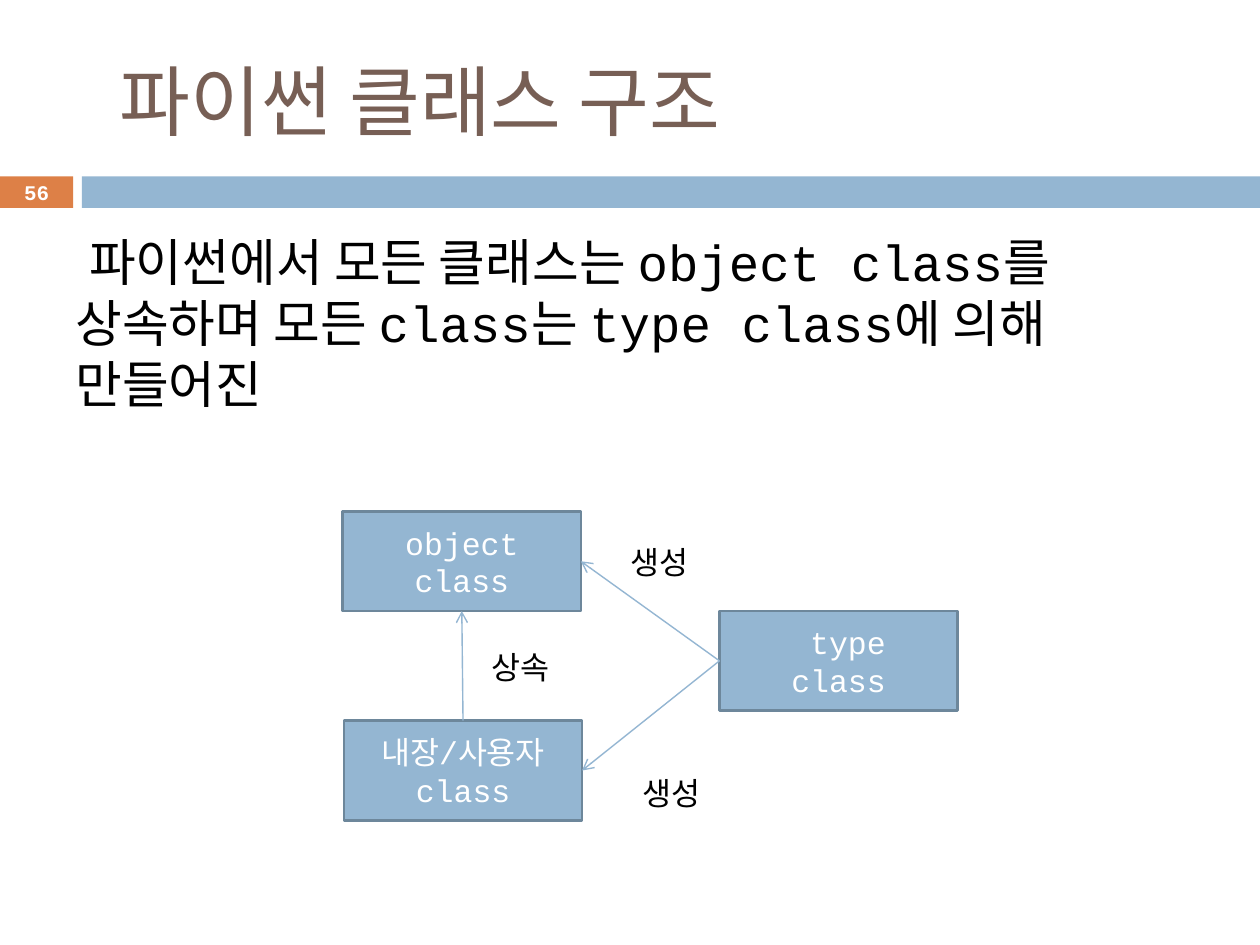
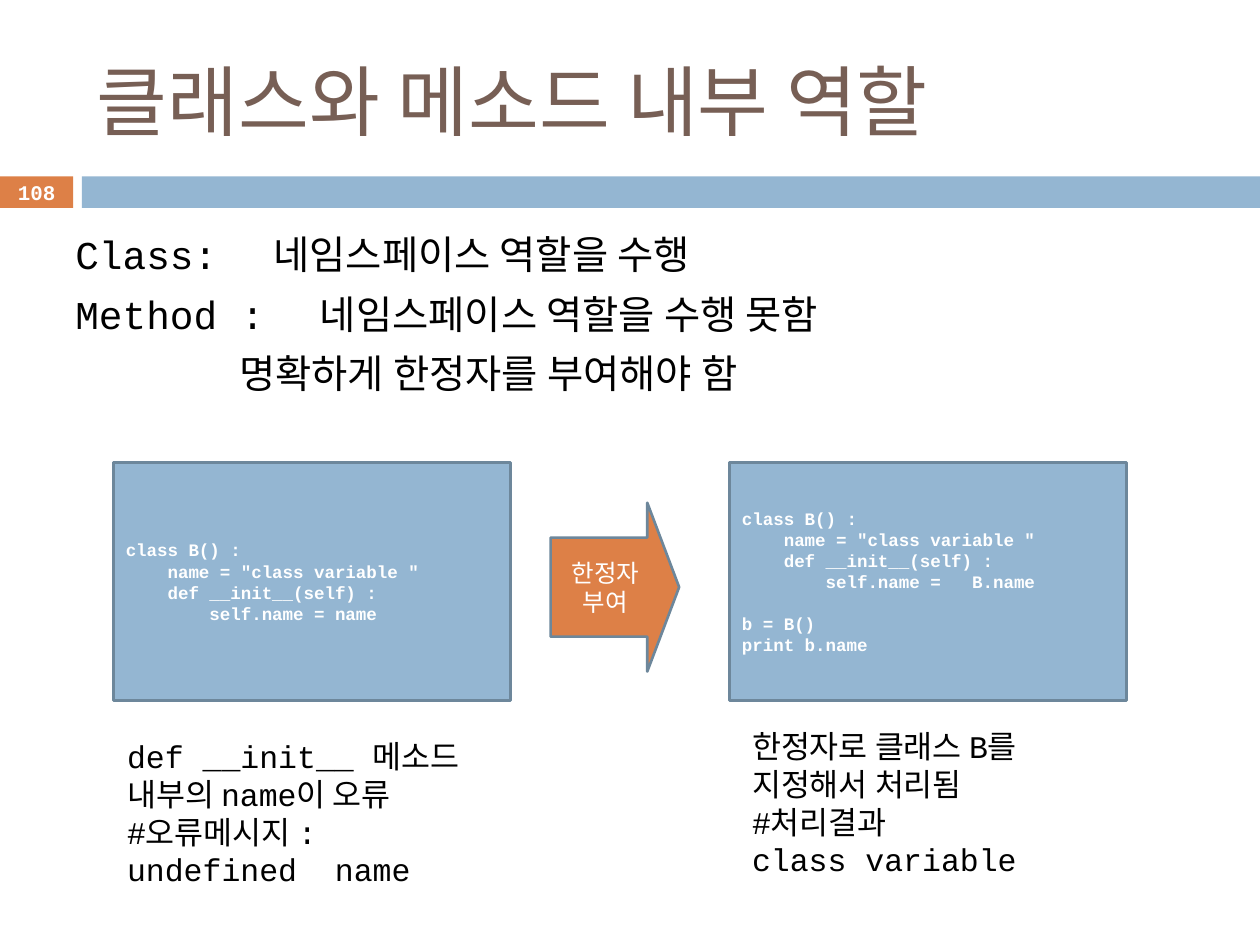
from typing import NamedTuple, Sequence

from pptx import Presentation
from pptx.dml.color import RGBColor
from pptx.enum.shapes import MSO_CONNECTOR, MSO_SHAPE
from pptx.enum.text import MSO_ANCHOR, PP_ALIGN
from pptx.oxml.ns import qn
from pptx.util import Inches, Pt
from lxml.etree import SubElement

# Shared colours and font
BLUE = RGBColor(0x94, 0xB6, 0xD2)
ORANGE = RGBColor(0xDD, 0x80, 0x47)
OUTLINE = RGBColor(0x6D, 0x87, 0x9B)
BROWN = RGBColor(0x77, 0x5F, 0x55)
WHITE = RGBColor(0xFF, 0xFF, 0xFF)
BLACK = RGBColor(0x00, 0x00, 0x00)
FONT = "Courier New"

# Connection sites of a rectangle
TOP, LEFT, BOTTOM, RIGHT = range(4)


class Box(NamedTuple):
    x: float
    y: float
    w: float
    h: float


class Style(NamedTuple):
    size: float
    color: RGBColor = BLACK
    bold: bool = False
    align: PP_ALIGN = PP_ALIGN.LEFT
    anchor: MSO_ANCHOR = MSO_ANCHOR.TOP
    gap: float = 0  # points between paragraphs


class Line(NamedTuple):
    text: str
    margin: float = 0
    first: float = 0  # extra indent of the first line
    tab: float = 0
    before: float = 0


TITLE = Style(44, BROWN, anchor=MSO_ANCHOR.MIDDLE)
PAGE = Style(11.9, WHITE, True, PP_ALIGN.CENTER, MSO_ANCHOR.MIDDLE)
NODE = Style(18, WHITE, align=PP_ALIGN.CENTER, anchor=MSO_ANCHOR.MIDDLE)
ARROW = NODE._replace(size=14)
CODE = Style(10, WHITE, True, anchor=MSO_ANCHOR.MIDDLE)
NOTE = Style(18)


def write(sp, lines: Sequence[Line], style: Style) -> None:
    tf = sp.text_frame
    tf.word_wrap = True
    tf.vertical_anchor = style.anchor
    for i, line in enumerate(lines):
        p = tf.paragraphs[0] if i == 0 else tf.add_paragraph()
        p.text = line.text
        p.alignment = style.align
        p.space_before = Pt(line.before or (style.gap if i else 0))
        pPr = p._p.get_or_add_pPr()
        if line.margin or line.first:
            pPr.set("marL", str(Inches(line.margin)))
            pPr.set("indent", str(Inches(line.first)))
        if line.tab:
            tabs = SubElement(pPr, qn("a:tabLst"))
            SubElement(tabs, qn("a:tab"), pos=str(Inches(line.tab)), algn="l")
        for r in p.runs:
            r.font.name = FONT
            r.font.size = Pt(style.size)
            r.font.bold = style.bold
            r.font.color.rgb = style.color


def add_text(s, box: Box, lines: Sequence[Line], style: Style):
    sp = s.shapes.add_textbox(*map(Inches, box))
    write(sp, lines, style)
    return sp


def add_block(s, box: Box, fill: RGBColor, outlined: bool = True,
              kind: MSO_SHAPE = MSO_SHAPE.RECTANGLE):
    sp = s.shapes.add_shape(kind, *map(Inches, box))
    sp.shadow.inherit = False
    sp.fill.solid()
    sp.fill.fore_color.rgb = fill
    if outlined:
        sp.line.color.rgb = OUTLINE
        sp.line.width = Pt(1.5)
    else:
        sp.line.fill.background()
    return sp


def add_arrow(s, start, start_site: int, end, end_site: int) -> None:
    c = s.shapes.add_connector(MSO_CONNECTOR.STRAIGHT, 0, 0, 0, 0)
    c.begin_connect(start, start_site)
    c.end_connect(end, end_site)
    c.line.color.rgb = BLUE
    c.line.width = Pt(0.8)
    SubElement(c.line._get_or_add_ln(), qn("a:tailEnd"), type="arrow")
    SubElement(c._element.spPr, qn("a:effectLst"))


def add_page(prs, title: Line, number: int):
    """Add a slide with the bands, the title and the page number."""
    s = prs.slides.add_slide(prs.slide_layouts[6])
    add_block(s, Box(0, 1.4, 0.58, 0.25), ORANGE, outlined=False)
    add_block(s, Box(0.65, 1.4, 9.35, 0.25), BLUE, outlined=False)
    add_text(s, Box(0.67, 0.25, 8.92, 1.08), [title], TITLE)
    sp = add_text(s, Box(0, 1.39, 0.58, 0.27), [Line(str(number))], PAGE)
    tf = sp.text_frame
    tf.margin_left = tf.margin_right = tf.margin_top = tf.margin_bottom = 0
    return s


def build_structure(prs) -> None:
    s = add_page(prs, Line("파이썬 클래스 구조", first=0.18), 56)
    add_text(s, Box(0.5, 1.78, 9, 1.81), [Line(
        "파이썬에서 모든 클래스는 object class를 상속하며 모든 class는 "
        "type class에 의해 만들어진", first=0.11)], Style(29))

    # Class boxes
    def add_node(x: float, y: float, head: Line):
        sp = add_block(s, Box(x, y, 1.89, 0.79), BLUE)
        write(sp, [head, Line("class")], NODE)
        return sp

    base = add_node(2.72, 4.06, Line("object"))
    user = add_node(2.73, 5.72, Line("내장/사용자"))
    meta = add_node(5.71, 4.85, Line("type", first=0.15))

    # Relations and their labels
    add_arrow(s, user, TOP, base, BOTTOM)
    add_arrow(s, meta, LEFT, base, RIGHT)
    add_arrow(s, meta, LEFT, user, RIGHT)
    for x, y, label in ((3.74, 5.09, "상속"), (4.94, 6.09, "생성"),
                        (4.85, 4.26, "생성")):
        add_text(s, Box(x, y, 1.1, 0.4), [Line(label, first=0.06)], NOTE)


def build_roles(prs) -> None:
    s = add_page(prs, Line("클래스와 메소드 내부 역할"), 108)
    add_text(s, Box(0.5, 1.78, 9, 1.5), [
        Line("Class:\t네임스페이스 역할을 수행", tab=1.57),
        Line("Method :\t네임스페이스 역할을 수행 못함", tab=1.94),
        Line("명확하게 한정자를 부여해야 함", margin=1.3),
    ], Style(22.5, gap=7))

    # Code before and after the qualifier
    shared = [Line("class B() :"), Line('    name = "class variable "'),
              Line("    def __init__(self) :")]
    before = shared + [Line("        self.name = name")]
    after = shared + [Line("        self.name =   B.name"),
                      Line("b = B()", before=12), Line("print b.name")]
    for x, code in ((0.9, before), (5.79, after)):
        write(add_block(s, Box(x, 3.67, 3.15, 1.89), BLUE), code, CODE)

    # Results under the code
    add_text(s, Box(0.91, 5.8, 2.99, 1.31), [
        Line("def __init__ 메소드 내부의 name이 오류"),
        Line("#오류메시지 :"),
        Line("undefined\tname", tab=1.65)], NOTE)
    add_text(s, Box(5.87, 5.72, 2.99, 1.31), [
        Line("한정자로 클래스 B를 지정해서 처리됨"),
        Line("#처리결과"),
        Line("class variable")], NOTE)

    # Arrow between the code boxes
    sp = add_block(s, Box(4.37, 3.99, 1.02, 1.34), ORANGE,
                   kind=MSO_SHAPE.RIGHT_ARROW)
    sp.adjustments[0], sp.adjustments[1] = 0.586, 0.248
    write(sp, [Line("한정자"), Line("부여")], ARROW)


def main() -> None:
    prs = Presentation()
    prs.slide_width, prs.slide_height = Inches(10), Inches(7.5)
    build_structure(prs)
    build_roles(prs)
    prs.save("out.pptx")


if __name__ == "__main__":
    main()
